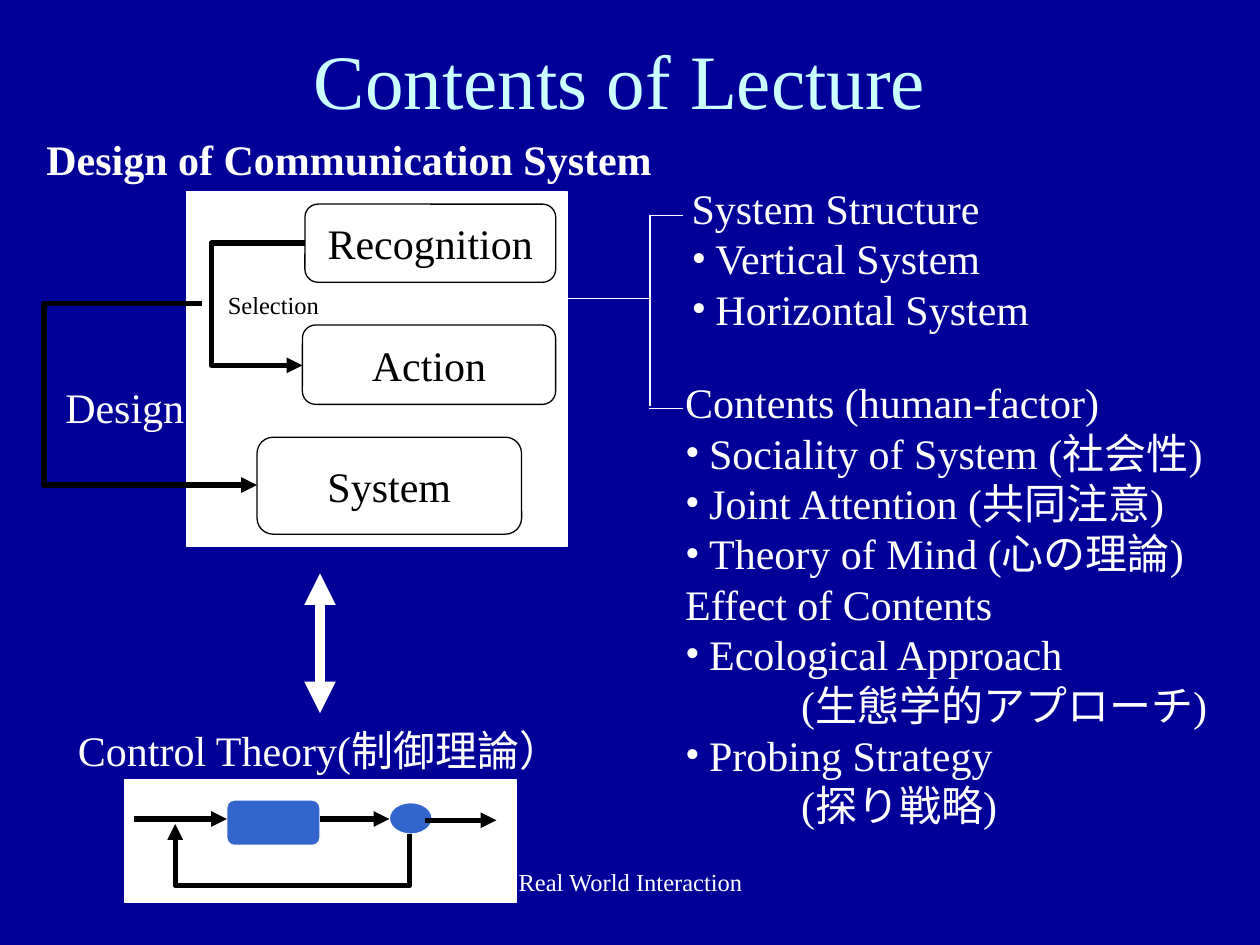
from lxml.etree import SubElement
from pptx import Presentation
from pptx.dml.color import RGBColor
from pptx.enum.shapes import MSO_CONNECTOR as Link, MSO_SHAPE as Shape
from pptx.enum.text import MSO_ANCHOR as Anchor, PP_ALIGN as Align
from pptx.oxml.ns import qn
from pptx.util import Inches, Pt

NAVY = RGBColor(0x00, 0x00, 0x99)
ICE = RGBColor(0xCC, 0xFF, 0xFF)
BLUE = RGBColor(0x33, 0x66, 0xCC)
WHITE = RGBColor(0xFF, 0xFF, 0xFF)
BLACK = RGBColor(0x00, 0x00, 0x00)
FONT = "Times New Roman"
COLUMNS, ROWS = 100, 75
HEAD, ITEM, NOTE = "head", "item", "note"

STRUCTURE = [
    (HEAD, "System Structure"),
    (ITEM, "Vertical System"),
    (ITEM, "Horizontal System"),
]
CONTENTS = [
    (HEAD, "Contents (human-factor)"),
    (ITEM, "Sociality of System (社会性)"),
    (ITEM, "Joint Attention (共同注意)"),
    (ITEM, "Theory of Mind (心の理論)"),
    (HEAD, "Effect of Contents"),
    (ITEM, "Ecological Approach"),
    (NOTE, "(生態学的アプローチ)"),
    (ITEM, "Probing Strategy"),
    (NOTE, "(探り戦略)"),
]


def grid(*cells):
    """Turn grid cells, a tenth of an inch each, into lengths."""
    return [Inches(cell / 10) for cell in cells]


def write(para, text, color, size=24, bold=False):
    """Add one formatted run to a paragraph."""
    span = para.add_run()
    span.text = text
    span.font.name = FONT
    span.font.size = Pt(size)
    span.font.bold = bold
    span.font.color.rgb = color


def set_title(page, text):
    """Place and fill the title placeholder."""
    title = page.shapes.title
    title.left, title.top, title.width, title.height = grid(6.7, 0, 85, 12.5)
    title.text_frame.vertical_anchor = Anchor.MIDDLE
    para = title.text_frame.paragraphs[0]
    para.alignment = Align.CENTER
    write(para, text, ICE, 44)


def add_label(page, place, text, color=WHITE, size=24, bold=False, align=Align.LEFT):
    """Add a single line of text."""
    box = page.shapes.add_textbox(*grid(*place))
    box.text_frame.word_wrap = False
    para = box.text_frame.paragraphs[0]
    para.alignment = align
    write(para, text, color, size, bold)


def indent(para, kind):
    """Give a paragraph the bullet and margin of its kind."""
    props = para._p.get_or_add_pPr()
    if kind == ITEM:
        props.set("marL", str(Inches(0.19)))
        props.set("indent", str(-Inches(0.19)))
        SubElement(props, qn("a:buFont"), typeface=FONT)
        SubElement(props, qn("a:buChar"), char="•")
    elif kind == NOTE:
        props.set("marL", str(Inches(0.92)))
        props.set("indent", "0")


def add_topics(page, place, topics):
    """Add a text box of headings, bullets and notes."""
    frame = page.shapes.add_textbox(*grid(*place)).text_frame
    frame.word_wrap = True
    for number, (kind, text) in enumerate(topics):
        para = frame.add_paragraph() if number else frame.paragraphs[0]
        indent(para, kind)
        write(para, text, WHITE)


def add_block(page, kind, place, fill=WHITE, line=WHITE, text=None):
    """Add a filled shape, with a centred caption if there is one."""
    block = page.shapes.add_shape(kind, *grid(*place))
    block.shadow.inherit = False
    block.fill.solid()
    block.fill.fore_color.rgb = fill
    block.line.color.rgb = line
    block.line.width = Pt(0.75)
    if text:
        block.text_frame.word_wrap = False
        block.text_frame.vertical_anchor = Anchor.MIDDLE
        para = block.text_frame.paragraphs[0]
        para.alignment = Align.CENTER
        write(para, text, BLACK)


def add_line(page, start, end, color=WHITE, width=0.75, heads=(), kind=Link.STRAIGHT):
    """Add a connector with arrowheads at the named ends."""
    line = page.shapes.add_connector(kind, *grid(*start, *end))
    line.line.color.rgb = color
    line.line.width = Pt(width)
    stroke = line.line._get_or_add_ln()
    for head in heads:
        SubElement(stroke, qn(f"a:{head}"), type="triangle")
    SubElement(line._element.spPr, qn("a:effectLst"))
    return line


def add_arrow(page, start, end, kind=Link.STRAIGHT):
    """Add a thick black arrow."""
    return add_line(page, start, end, BLACK, 3, ["tailEnd"], kind)


def add_elbow(page, start, end, bend, turn=0):
    """Add an arrow that bends at a column, then turn it by degrees."""
    arrow = add_arrow(page, start, end, Link.ELBOW)
    share = (bend - start[0]) / (end[0] - start[0])
    guides = arrow._element.spPr.find(qn("a:prstGeom")).get_or_add_avLst()
    SubElement(guides, qn("a:gd"), name="adj1", fmla=f"val {round(share * 100000)}")
    if turn:
        arrow._element.spPr.find(qn("a:xfrm")).set("rot", str(turn * 60000))


def add_control_loop(page):
    """Draw the feedback loop of control theory."""
    add_block(page, Shape.RECTANGLE, (9.9, 61.9, 31.1, 9.7))
    add_block(page, Shape.OVAL, (30.9, 63.7, 3.4, 2.5), BLUE)
    add_block(page, Shape.ROUNDED_RECTANGLE, (18, 63.5, 7.4, 3.6), BLUE)
    for left, right, row in ((10.6, 18, 65), (25.4, 30.9, 65), (33.7, 39.4, 65.1)):
        add_arrow(page, (left, row), (right, row))
    add_elbow(page, (22.8, 75.1), (23.6, 56.5), 18.7, 270)
    add_label(page, (5.2, 57, 41.2, 5), "Control Theory(制御理論）")


def add_system(page):
    """Draw the panel with the parts of the communication system."""
    add_block(page, Shape.RECTANGLE, (14.8, 15.2, 30.2, 28.2))
    for text, place in (
        ("Recognition", (24.2, 16.2, 19.9, 6.2)),
        ("Action", (24, 25.8, 20.1, 6.3)),
        ("System", (20.4, 34.7, 21, 7.7)),
    ):
        add_block(page, Shape.ROUNDED_RECTANGLE, place, WHITE, BLACK, text)
    add_elbow(page, (24.2, 19.3), (24, 29), 16.8)
    add_elbow(page, (16, 24.1), (20.4, 38.5), 3.5)
    add_label(page, (17.1, 22.5, 10, 3.4), "Selection", BLACK, 14)
    add_label(page, (4.2, 29.8, 11.6, 5), "Design")


def add_bracket(page):
    """Draw the bracket from the panel to the two topic lists."""
    add_line(page, (45, 23.7), (51.6, 23.7))
    add_line(page, (51.6, 17.1), (51.6, 32.2))
    for row in (17.1, 32.4):
        add_line(page, (51.5, row), (54.2, row))


def main():
    """Build the slide and save it."""
    deck = Presentation()
    deck.slide_width, deck.slide_height = grid(COLUMNS, ROWS)
    page = deck.slides.add_slide(deck.slide_layouts[5])
    page.background.fill.solid()
    page.background.fill.fore_color.rgb = NAVY
    set_title(page, "Contents of Lecture")
    add_control_loop(page)
    add_system(page)
    add_label(page, (2.7, 10.1, 52, 5), "Design of Communication System", bold=True)
    add_line(page, (25.4, 45.5), (25.4, 56.6), WHITE, 6, ["headEnd", "tailEnd"])
    add_bracket(page)
    add_topics(page, (53.9, 14, 31, 13), STRUCTURE)
    add_topics(page, (53.4, 29.4, 46.6, 37), CONTENTS)
    add_label(page, (34.2, 68.3, 31.7, 5), "Real World Interaction", size=14, align=Align.CENTER)
    deck.save("out.pptx")


if __name__ == "__main__":
    main()
